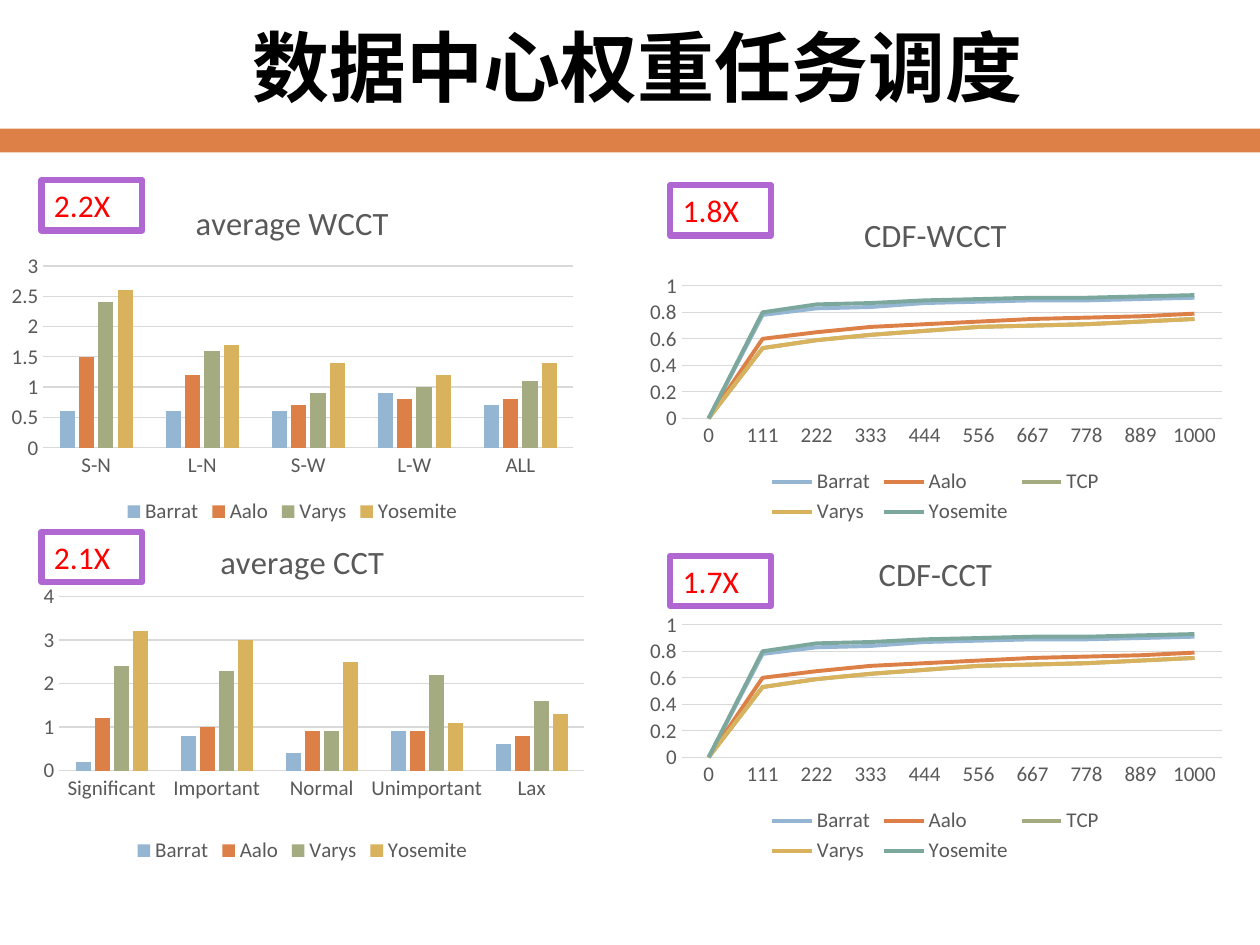
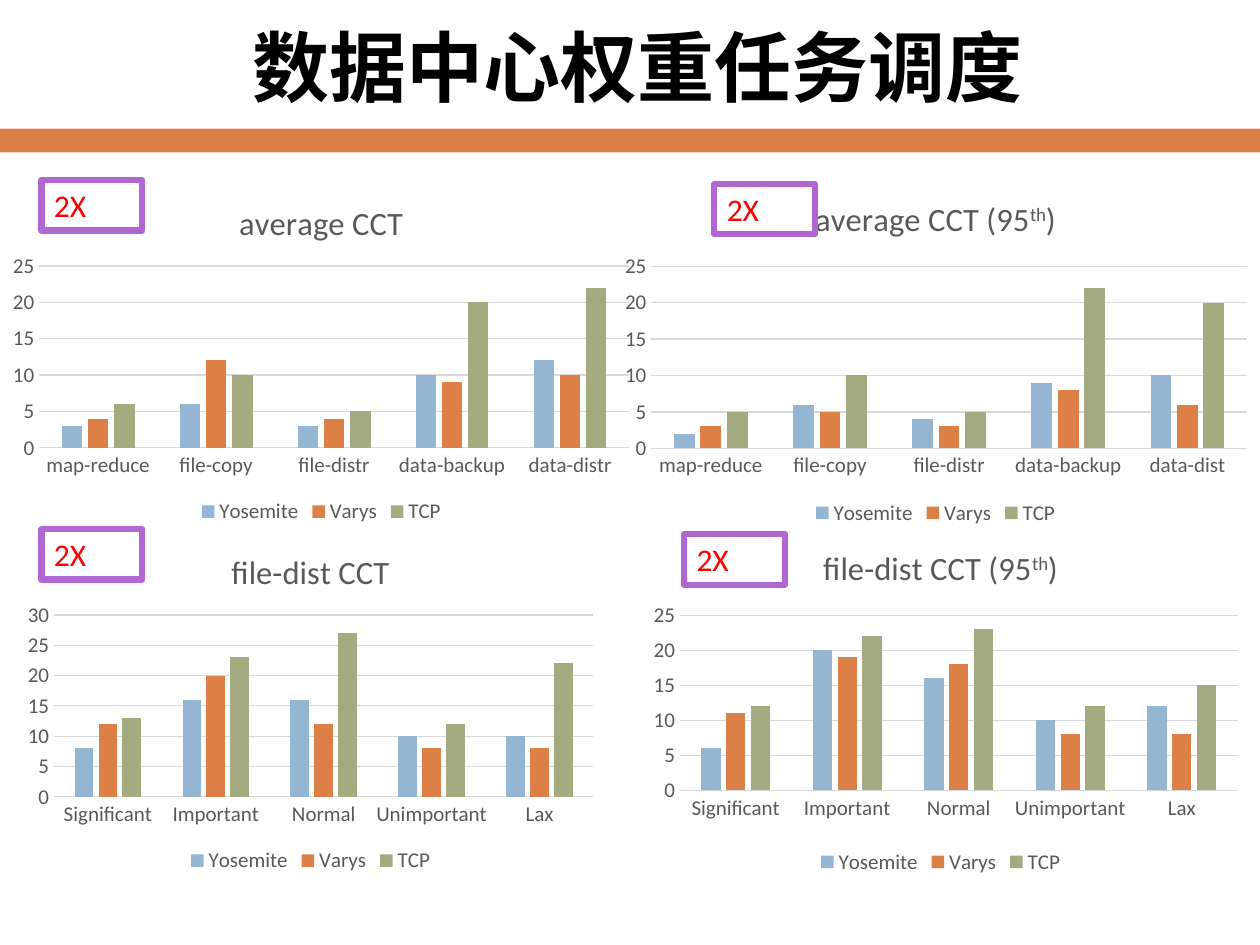
"""Two slides of charts comparing data-centre task schedulers."""
from lxml import etree
from pptx import Presentation
from pptx import util as u
from pptx.chart import data as chart_data
from pptx.dml import color
from pptx.enum import chart as ch, shapes, text as t
from pptx.oxml import ns

BLACK, GREY, RULE, RED, PURPLE, WHITE = "000000", "595959", "D9D9D9", "FF0000", "B167D2", "FFFFFF"
SERIES = ["94B6D2", "DD8047", "A5AB81", "D8B25C", "7BA79D"]
LATIN, CJK = "Calibri", "Noto Sans CJK SC"
COLUMNS, ROWS = 100, 75
BAR, LINE = ch.XL_CHART_TYPE.COLUMN_CLUSTERED, ch.XL_CHART_TYPE.LINE


def rgb(value):
    """Turn a hex string into a colour."""
    return color.RGBColor.from_string(value)


def style(font, size, tone, name=LATIN, bold=False):
    """Apply size, colour, face and weight to a font."""
    font.size, font.name, font.bold = u.Pt(size), name, bold
    font.color.rgb = rgb(tone)


def write(frame, content, size=18, tone=BLACK, name=LATIN, bold=False, align=t.PP_ALIGN.LEFT):
    """Write one paragraph; parts between bars are superscript."""
    paragraph = frame.paragraphs[0]
    paragraph.alignment = align
    for index, part in enumerate(content.split("|")):
        run = paragraph.add_run()
        run.text = part
        style(run.font, size, tone, name, bold)
        properties = run._r.get_or_add_rPr()
        if name == CJK:
            etree.SubElement(properties, ns.qn("a:ea"), typeface=name)
        if index % 2:
            properties.set("baseline", "30000")


class Deck:
    """Hold the shared style and the current slide."""

    def __init__(self):
        """Open a 10 by 7.5 inch presentation."""
        self.show = Presentation()
        self.show.slide_width, self.show.slide_height = u.Inches(10), u.Inches(7.5)

    def place(self, left, top, width, height):
        """Convert grid columns and rows to lengths."""
        across, down = self.show.slide_width / COLUMNS, self.show.slide_height / ROWS
        return [int(n * unit) for n, unit in zip((left, top, width, height), (across, down) * 2)]

    def start(self, heading):
        """Add a slide with its background, band and heading."""
        self.slide = self.show.slides.add_slide(self.show.slide_layouts[6])
        self.slide.background.fill.solid()
        self.slide.background.fill.fore_color.rgb = rgb(WHITE)
        self.box(0, 10.2, COLUMNS, 1.9, fill=SERIES[1])
        frame = self.slide.shapes.add_textbox(*self.place(3.3, 1.4, 94.6, 7.7)).text_frame
        frame.word_wrap, frame.vertical_anchor = True, t.MSO_ANCHOR.MIDDLE
        write(frame, heading, size=44, name=CJK, bold=True, align=t.PP_ALIGN.CENTER)

    def box(self, *area, fill=None, outline=None):
        """Add a rectangle with a fill or an outline."""
        rectangle = self.slide.shapes.add_shape(shapes.MSO_SHAPE.RECTANGLE, *self.place(*area))
        rectangle.shadow.inherit = False
        if fill:
            rectangle.fill.solid()
            rectangle.fill.fore_color.rgb = rgb(fill)
        else:
            rectangle.fill.background()
        if outline:
            rectangle.line.color.rgb, rectangle.line.width = rgb(outline), u.Pt(3.5)
        else:
            rectangle.line.fill.background()
        return rectangle

    def speedup(self, left, top, factor):
        """Add a framed speed-up factor."""
        frame = self.box(left, top, 8, 4, outline=PURPLE).text_frame
        frame.vertical_anchor, frame.word_wrap = t.MSO_ANCHOR.TOP, True
        frame.auto_size = t.MSO_AUTO_SIZE.SHAPE_TO_FIT_TEXT
        write(frame, factor, tone=RED)

    def chart(self, area, heading, groups, results, plot, top, step, kind=BAR):
        """Add a column or line chart with its plot area in percent."""
        numbers = chart_data.CategoryChartData()
        numbers.categories = groups
        for scheduler, values in results.items():
            numbers.add_series(scheduler, values)
        chart = self.slide.shapes.add_chart(kind, *self.place(*area), numbers).chart
        style(chart.font, 10, BLACK)
        chart.has_title = True
        write(chart.chart_title.text_frame, heading, size=18.6, tone=GREY, align=t.PP_ALIGN.CENTER)
        chart.chart_title.include_in_layout = False
        chart.has_legend = True
        chart.legend.position = ch.XL_LEGEND_POSITION.BOTTOM
        chart.legend.include_in_layout = False
        style(chart.legend.font, 12, GREY)
        self.axes(chart, top, step)
        self.fix_plot(chart, plot)
        bars = chart.plots[0]
        bars.vary_by_categories = False
        if kind == BAR:
            bars.gap_width, bars.overlap = 219, -27
        for series, tone in zip(bars.series, SERIES):
            if kind == BAR:
                series.format.fill.solid()
                series.format.fill.fore_color.rgb = rgb(tone)
            else:
                series.smooth = False
                series.marker.style = ch.XL_MARKER_STYLE.NONE
                series.format.line.color.rgb = rgb(tone)
                series.format.line.width = u.Pt(2.25)

    def axes(self, chart, top, step):
        """Style both axes and set the value scale."""
        groups, scale = chart.category_axis, chart.value_axis
        for axis in (groups, scale):
            axis.major_tick_mark = axis.minor_tick_mark = ch.XL_TICK_MARK.NONE
            style(axis.tick_labels.font, 12, GREY)
        scale.minimum_scale, scale.maximum_scale, scale.major_unit = 0, top, step
        scale.has_major_gridlines = True
        scale.format.line.fill.background()
        for line in (groups.format.line, scale.major_gridlines.format.line):
            line.color.rgb, line.width = rgb(RULE), u.Pt(0.75)

    def fix_plot(self, chart, plot):
        """Fix the inner plot area to percentages of the chart."""
        area = chart._chartSpace.chart.plotArea
        for old in area.findall(ns.qn("c:layout")):
            area.remove(old)
        layout = etree.Element(ns.qn("c:layout"))
        area.insert(0, layout)
        manual = etree.SubElement(layout, ns.qn("c:manualLayout"))
        settings = [("layoutTarget", "inner"), ("xMode", "edge"), ("yMode", "edge")]
        settings += [(key, str(round(share / 100, 4))) for key, share in zip("xywh", plot)]
        for key, value in settings:
            etree.SubElement(manual, ns.qn("c:" + key), val=value)


HEADING = "数据中心权重任务调度"
PRIORITIES = ["Significant", "Important", "Normal", "Unimportant", "Lax"]
JOBS = ["map-reduce", "file-copy", "file-distr", "data-backup"]
TIMES = [str(round(step * 1000 / 9)) for step in range(10)]
SLOWEST = [0, 0.53, 0.59, 0.63, 0.66, 0.69, 0.7, 0.71, 0.73, 0.75]
CDF = {
    "Barrat": [0, 0.78, 0.83, 0.84, 0.87, 0.88, 0.89, 0.89, 0.9, 0.91],
    "Aalo": [0, 0.6, 0.65, 0.69, 0.71, 0.73, 0.75, 0.76, 0.77, 0.79],
    "TCP": SLOWEST,
    "Varys": SLOWEST,
    "Yosemite": [0, 0.8, 0.86, 0.87, 0.89, 0.9, 0.91, 0.91, 0.92, 0.93],
}


def weighted(*values):
    """Name the four schedulers of the weighted tests."""
    return dict(zip(["Barrat", "Aalo", "Varys", "Yosemite"], values))


def measured(*values):
    """Name the three schedulers of the measured tests."""
    return dict(zip(["Yosemite", "Varys", "TCP"], values))


def main():
    """Build both slides and save them."""
    deck = Deck()
    deck.start(HEADING)
    deck.chart((0, 14.3, 46.4, 27.7), "average WCCT", ["S-N", "L-N", "S-W", "L-W", "ALL"],
               weighted([0.6, 0.6, 0.6, 0.9, 0.7], [1.5, 1.2, 0.7, 0.8, 0.8],
                        [2.4, 1.6, 0.9, 1, 1.1], [2.6, 1.7, 1.4, 1.2, 1.4]),
               (7.4, 24.6, 90.7, 52.1), 3, 0.5)
    deck.chart((0, 41.2, 48, 27.7), "average CCT", PRIORITIES,
               weighted([0.2, 0.8, 0.4, 0.9, 0.6], [1.2, 1, 0.9, 0.9, 0.8],
                        [2.4, 2.3, 0.9, 2.2, 1.6], [3.2, 3, 2.5, 1.1, 1.3]),
               (9.8, 22.2, 86.8, 49.9), 4, 1)
    for top, heading in ((15.3, "CDF-WCCT"), (42.2, "CDF-CCT")):
        deck.chart((50.6, top, 47.3, 26.7), heading, TIMES, CDF,
                   (7.4, 27.7, 90.6, 39.4), 1, 0.2, LINE)
    for left, top, factor in ((3.3, 14.3, "2.2X"), (53.2, 44.1, "1.7X"),
                              (3.3, 42.2, "2.1X"), (53.2, 14.7, "1.8X")):
        deck.speedup(left, top, factor)

    deck.start(HEADING)
    deck.chart((0, 14.3, 51, 27.7), "average CCT", JOBS + ["data-distr"],
               measured([3, 6, 3, 10, 12], [4, 12, 4, 9, 10], [6, 10, 5, 20, 22]),
               (6.1, 24.6, 91.8, 52.1), 25, 5)
    deck.chart((48.5, 14.3, 51.5, 27.8), "average CCT (95|th|)", JOBS + ["data-dist"],
               measured([2, 6, 4, 9, 10], [3, 5, 3, 8, 6], [5, 10, 5, 22, 20]),
               (6.2, 24.6, 91.8, 52), 25, 5)
    deck.chart((1.3, 42, 46.7, 27.7), "file-dist CCT", PRIORITIES,
               measured([8, 16, 16, 10, 10], [12, 20, 12, 8, 8], [13, 23, 27, 12, 22]),
               (6.4, 24.6, 91.7, 52.1), 30, 5)
    deck.chart((49.3, 42, 50.7, 27.8), "file-dist CCT (95|th|)", PRIORITIES,
               measured([6, 20, 16, 10, 12], [11, 19, 18, 8, 8], [12, 22, 23, 12, 15]),
               (9.2, 24.6, 87.3, 50), 25, 5)
    for left, top in ((3.3, 14.3), (54.3, 42.4), (3.3, 42), (56.7, 14.6)):
        deck.speedup(left, top, "2X")
    deck.show.save("out.pptx")


if __name__ == "__main__":
    main()
